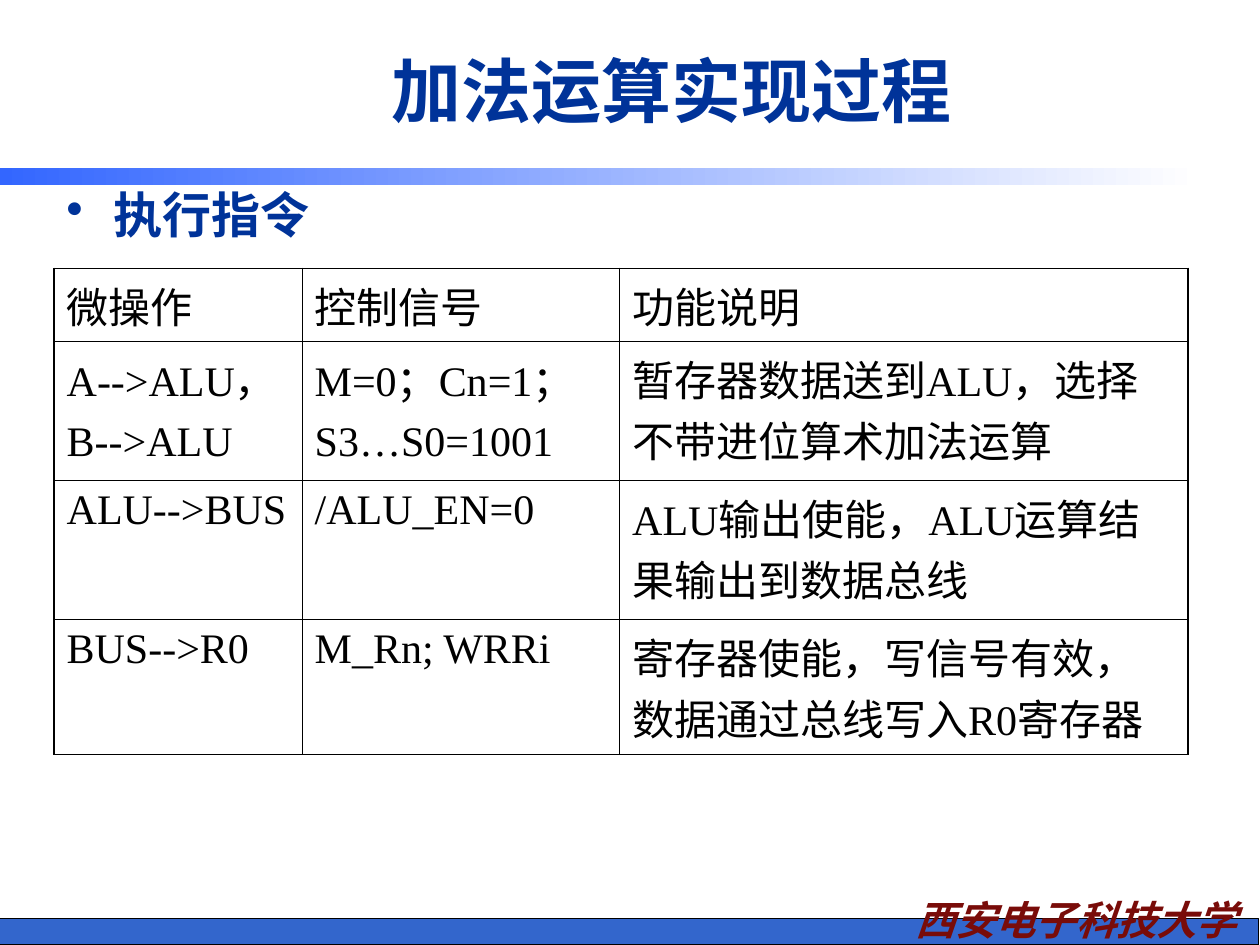
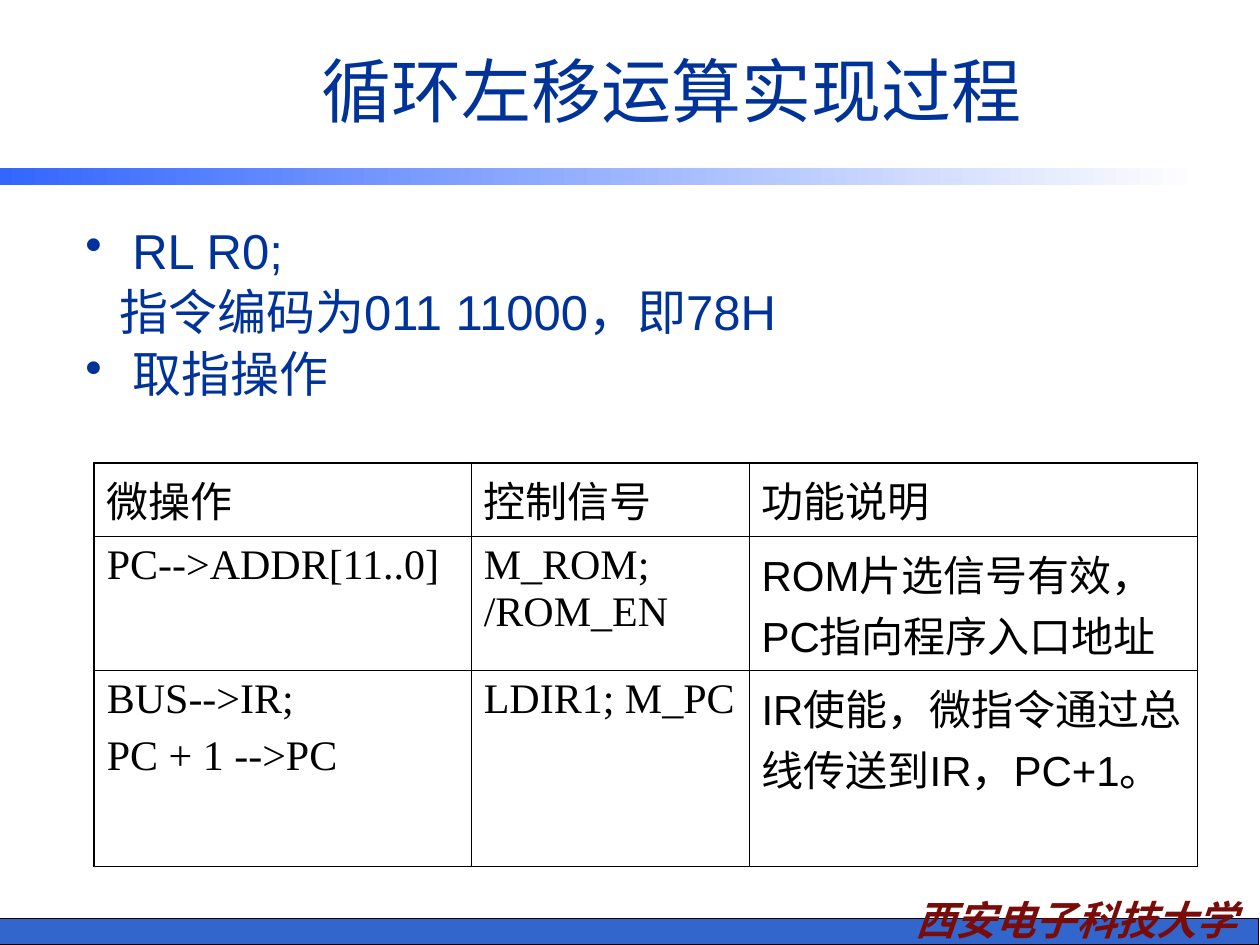
from lxml import etree
from pptx import Presentation
from pptx.dml.color import RGBColor
from pptx.enum.shapes import MSO_SHAPE
from pptx.enum.text import MSO_ANCHOR, PP_ALIGN
from pptx.oxml import parse_xml
from pptx.oxml.ns import nsdecls, qn
from pptx.util import Cm, Pt

RECT = MSO_SHAPE.RECTANGLE
MID = MSO_ANCHOR.MIDDLE
LEFT, MIDDLE = PP_ALIGN.LEFT, PP_ALIGN.CENTER
HAN, SANS, SERIF = "Noto Sans CJK SC", "Arial", "Times New Roman"
INK = {
    "navy": "003399",
    "band": "3366CC",
    "glow": "3366FF",
    "white": "FFFFFF",
    "black": "000000",
    "wine": "790C09",
}
HEAD = ["微操作", "控制信号", "功能说明"]
THICK, THIN = Pt(1.08), Pt(0.45)


def tint(name):
    return RGBColor.from_string(INK[name])


def write(frame, text, size=24, font=SANS, ink="black", bold=False,
          italic=False, align=LEFT, gap=0, lead=None, list_style=False):
    frame.word_wrap = True
    for i, line in enumerate(text.split("\n")):
        para = frame.paragraphs[0] if i == 0 else frame.add_paragraph()
        para.alignment = align
        if i:
            para.space_before = Pt(gap)
        if lead:
            para.line_spacing = lead
        if list_style:
            props = para._p.get_or_add_pPr()
            mark = line.startswith("•")
            line = line.lstrip("•")
            props.set("marL", str(Cm(0.95 if mark else 0.69)))
            props.set("indent", str(Cm(-0.95 if mark else 0)))
            if mark:
                color = etree.SubElement(props, qn("a:buClr"))
                etree.SubElement(color, qn("a:srgbClr")).set("val", INK[ink])
                etree.SubElement(props, qn("a:buChar")).set("char", "•")
        run = para.add_run()
        run.text = line
        face = run.font
        face.size, face.name = Pt(size), font
        face.bold, face.italic = bold, italic
        face.color.rgb = tint(ink)
        latin = run._r.rPr.find(qn("a:latin"))
        latin.addnext(parse_xml(f'<a:ea {nsdecls("a")} typeface="{HAN}"/>'))


pages = [
    {
        "title": "加法运算实现过程",
        "bold": True,
        "list": "•执行指令",
        "box": (1.09, 3.73, 11.23, 2),
        "spot": (1.09, 5.41),
        "cols": [5, 6.4, 11.46],
        "rows": [1.48, 2.8, 2.8, 2.72],
        "fonts": [SERIF, SERIF, SERIF],
        "cells": [
            HEAD,
            ["A-->ALU，\nB-->ALU", "M=0；Cn=1；\nS3…S0=1001",
             "暂存器数据送到ALU，选择不带进位算术加法运算"],
            ["ALU-->BUS", "/ALU_EN=0", "ALU输出使能，ALU运算结果输出到数据总线"],
            ["BUS-->R0", "M_Rn; WRRi",
             "寄存器使能，写信号有效，数据通过总线写入R0寄存器"],
        ],
    },
    {
        "title": "循环左移运算实现过程",
        "bold": False,
        "list": "•RL R0;\n指令编码为011 11000，即78H\n•取指操作",
        "box": (1.47, 4.45, 17.22, 4.7),
        "spot": (1.9, 9.33),
        "cols": [7.6, 5.6, 9.04],
        "rows": [1.48, 2.7, 3.96],
        "fonts": [SERIF, SERIF, SANS],
        "cells": [
            HEAD,
            ["PC-->ADDR[11..0]", "M_ROM; /ROM_EN",
             "ROM片选信号有效，PC指向程序入口地址"],
            ["BUS-->IR;\nPC + 1 -->PC", "LDIR1; M_PC",
             "IR使能，微指令通过总线传送到IR，PC+1。"],
        ],
    },
]

deck = Presentation()
deck.slide_width, deck.slide_height = Cm(25.4), Cm(19.05)

for page in pages:
    slide = deck.slides.add_slide(deck.slide_layouts[6])
    shapes = slide.shapes

    foot = shapes.add_shape(RECT, Cm(-0.03), Cm(18.52), Cm(25.4), Cm(0.53))
    foot.shadow.inherit = False
    foot.fill.solid()
    foot.fill.fore_color.rgb = tint("band")
    foot.line.color.rgb = tint("black")
    foot.line.width = Pt(0.75)

    school = shapes.add_textbox(Cm(17.7), Cm(17.91), Cm(8), Cm(1.24)).text_frame
    school.vertical_anchor = MID
    write(school, "西安电子科技大学", size=23, font=HAN, ink="wine",
          bold=True, italic=True, align=MIDDLE)

    stripe = shapes.add_shape(RECT, 0, Cm(3.38), Cm(24.16), Cm(0.36))
    stripe.shadow.inherit = False
    stripe.fill.gradient()
    stripe.fill.gradient_angle = 0
    for stop, name in zip(stripe.fill.gradient_stops, ["glow", "white"]):
        stop.color.rgb = tint(name)
    stripe.line.fill.background()

    title = shapes.add_textbox(Cm(3.38), Cm(0.43), Cm(20.32), Cm(2.74)).text_frame
    title.vertical_anchor = MID
    write(title, page["title"], size=40, ink="navy", bold=page["bold"],
          align=MIDDLE)

    body = shapes.add_textbox(*map(Cm, page["box"])).text_frame
    write(body, page["list"], size=28, ink="navy", bold=page["bold"],
          gap=5, lead=0.9, list_style=True)

    cols, rows = page["cols"], page["rows"]
    left, top = page["spot"]
    table = shapes.add_table(len(rows), len(cols), Cm(left), Cm(top),
                             Cm(sum(cols)), Cm(sum(rows))).table
    table.first_row = table.horz_banding = False
    for col, width in zip(table.columns, cols):
        col.width = Cm(width)
    for row, height in zip(table.rows, rows):
        row.height = Cm(height)
    for r, line in enumerate(page["cells"]):
        for c, text in enumerate(line):
            cell = table.cell(r, c)
            font = page["fonts"][c] if r else page["fonts"][-1]
            write(cell.text_frame, text, font=font, gap=6)
            cell.fill.background()
            edges = {"L": c == 0, "R": c == len(cols) - 1,
                     "T": r == 0, "B": r == len(rows) - 1}
            for i, (side, outer) in enumerate(edges.items()):
                cell._tc.tcPr.insert(i, parse_xml(
                    f'<a:ln{side} {nsdecls("a")} w="{THICK if outer else THIN}">'
                    f'<a:solidFill><a:srgbClr val="{INK["black"]}"/></a:solidFill>'
                    f'</a:ln{side}>'))

deck.save("out.pptx")
